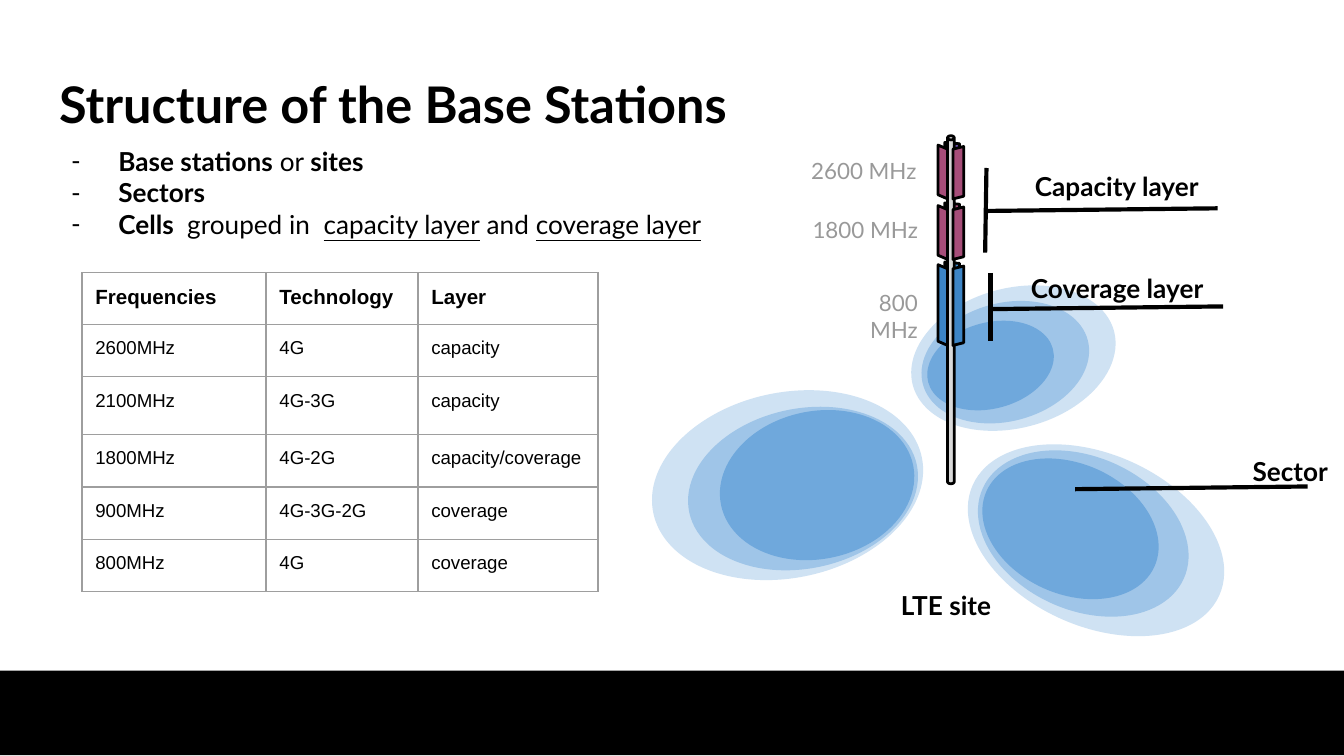
from lxml.etree import SubElement
from pptx import Presentation
from pptx.dml.color import RGBColor
from pptx.enum.shapes import MSO_CONNECTOR, MSO_SHAPE
from pptx.enum.text import MSO_ANCHOR, MSO_AUTO_SIZE, PP_ALIGN
from pptx.oxml.ns import qn
from pptx.util import Inches, Pt

COLORS = {
    "black": "000000", "border": "9E9E9E", "frequency": "999999", "mast": "D9D9D9",
    "outer": "CFE2F3", "middle": "9FC5E8", "inner": "6FA8DC",
    "capacity": "A64D79", "capacity back": "674EA7", "coverage": "3D85C6",
}

# Each sector: rotation, then left, top, width, height from outer to inner
SECTORS = {
    "north": (74.9, [(7.02, 1.89, 1.04, 1.55), (7.04, 2.06, 0.88, 1.27), (7.05, 2.24, 0.64, 0.96)]),
    "west": (348.3, [(4.84, 2.92, 2.04, 1.38), (5.11, 3.04, 1.73, 1.19), (5.35, 3.06, 1.46, 1.1)]),
    "east": (24.1, [(7.15, 3.38, 2.01, 1.28), (7.24, 3.4, 1.64, 1.14), (7.28, 3.45, 1.37, 0.97)]),
}

# Each antenna: top, height, front colour, back colour
ANTENNAS = [
    (1.51, 0.37, "capacity", "capacity"),
    (1.06, 0.37, "capacity", "capacity back"),
    (1.95, 0.57, "coverage", "coverage"),
]

# Each list item: runs of text, bold, underlined
LIST_ITEMS = [
    [("Base stations", True, False), (" or ", False, False), ("sites", True, False)],
    [("Sectors", True, False)],
    [("Cells", True, False), ("  grouped in  ", False, False), ("capacity layer", False, True),
     (" and ", False, False), ("coverage layer", False, True)],
]

TABLE_ROWS = [
    ("Frequencies", "Technology", "Layer"),
    ("2600MHz", "4G", "capacity"),
    ("2100MHz", "4G-3G", "capacity"),
    ("1800MHz", "4G-2G", "capacity/coverage"),
    ("900MHz", "4G-3G-2G", "coverage"),
    ("800MHz", "4G", "coverage"),
]
COLUMN_WIDTHS = [1.37, 1.13, 1.34]
ROW_HEIGHTS = [0.37, 0.39, 0.43, 0.39, 0.39, 0.39]

FREQUENCY_LABELS = [
    ("800 MHz", (6.14, 2.08, 0.76, 0.32)),
    ("1800 MHz", (5.81, 1.54, 1.09, 0.32)),
    ("2600 MHz", (5.96, 1.1, 0.93, 0.32)),
]
NAME_LABELS = [
    ("Coverage layer", (7.6, 1.95, 1.77, 0.38), PP_ALIGN.LEFT),
    ("Capacity layer", (7.63, 1.19, 1.73, 0.38), PP_ALIGN.LEFT),
    ("Sector", (9.25, 3.25, 0.84, 0.44), PP_ALIGN.LEFT),
    ("LTE site", (6.31, 4.31, 1.46, 0.38), PP_ALIGN.CENTER),
]
CALLOUT_LINES = [
    (7.37, 2.3, 9.1, 2.28), (7.37, 2.03, 7.37, 2.54),
    (7.33, 1.57, 9.06, 1.55), (7.34, 1.25, 7.33, 1.88),
    (8, 3.64, 9.73, 3.62),
]


def color(name):
    return RGBColor.from_string(COLORS[name])


def inches(values):
    return [Inches(value) for value in values]


def add_span(para, text, size, bold=False, underline=False, font="Lato", tint="black"):
    span = para.add_run()
    span.text = text
    span.font.name = font
    span.font.size = Pt(size)
    span.font.bold = bold
    span.font.underline = underline
    span.font.color.rgb = color(tint)


def set_margins(holder, size):
    holder.margin_left = holder.margin_right = Inches(size)
    holder.margin_top = holder.margin_bottom = Inches(size)


def style_shape(shape, fill, outlined=False):
    shape.shadow.inherit = False
    shape.fill.solid()
    shape.fill.fore_color.rgb = color(fill)
    if outlined:
        shape.line.color.rgb = color("black")
        shape.line.width = Pt(1.5)
    else:
        shape.line.fill.background()


def add_preset(page, kind, place, fill, outlined=False):
    shape = page.shapes.add_shape(kind, *inches(place))
    style_shape(shape, fill, outlined)
    return shape


def add_sector(page, name):
    rotation, ellipses = SECTORS[name]
    for place, fill in zip(ellipses, ("outer", "middle", "inner")):
        add_preset(page, MSO_SHAPE.OVAL, place, fill).rotation = rotation


def add_panel(page, left, left_top, right, right_top, height, fill):
    """Draw an upright panel with slanted top and bottom edges."""
    corners = [(right, right_top), (right, right_top + height), (left, left_top + height)]
    builder = page.shapes.build_freeform(Inches(left), Inches(left_top))
    builder.add_line_segments([inches(corner) for corner in corners], close=True)
    style_shape(builder.convert_to_shape(), fill, outlined=True)


def add_tower(page):
    for top, height, _, back in ANTENNAS:
        add_panel(page, 7.03, top, 7.14, top + 0.01, height, back)
    mast = add_preset(page, MSO_SHAPE.CAN, (7.05, 1.01, 0.05, 2.59), "mast", outlined=True)
    mast.adjustments[0] = 0.625
    for top, height, front, _ in ANTENNAS:
        add_panel(page, 7.09, top + 0.05, 7.17, top + 0.03, height, front)
        add_panel(page, 6.98, top + 0.02, 7.05, top + 0.05, height, front)


def add_line(page, ends):
    line = page.shapes.add_connector(MSO_CONNECTOR.STRAIGHT, *inches(ends))
    line.line.color.rgb = color("black")
    line.line.width = Pt(2.25)
    SubElement(line._element.spPr, qn("a:effectLst"))


def add_label(page, text, place, align, anchor, size, **style):
    box = page.shapes.add_textbox(*inches(place))
    frame = box.text_frame
    frame.word_wrap = True
    frame.vertical_anchor = anchor
    set_margins(frame, 0.07)
    para = frame.paragraphs[0]
    para.alignment = align
    add_span(para, text, size, **style)


def place_placeholder(holder, place, margin, anchor):
    holder.left, holder.top, holder.width, holder.height = inches(place)
    frame = holder.text_frame
    frame.word_wrap = True
    frame.auto_size = MSO_AUTO_SIZE.NONE
    frame.vertical_anchor = anchor
    set_margins(frame, margin)
    return frame


def fill_title(holder):
    frame = place_placeholder(holder, (0.44, 0.35, 9.11, 0.89), 0, MSO_ANCHOR.MIDDLE)
    para = frame.paragraphs[0]
    para.alignment = PP_ALIGN.LEFT
    para.line_spacing = 0.9
    add_span(para, "Structure of the Base Stations", 27, bold=True)


def fill_list(holder):
    frame = place_placeholder(holder, (0.28, 0.98, 5.51, 0.91), 0.1, MSO_ANCHOR.TOP)
    for index, item in enumerate(LIST_ITEMS):
        para = frame.add_paragraph() if index else frame.paragraphs[0]
        para.space_before = Pt(0)
        properties = para._p.get_or_add_pPr()
        properties.set("marL", str(Inches(0.5)))
        properties.set("indent", str(Inches(-0.35)))
        tint = SubElement(properties, qn("a:buClr"))
        SubElement(tint, qn("a:srgbClr"), val=COLORS["black"])
        SubElement(properties, qn("a:buFont"), typeface="Lato")
        SubElement(properties, qn("a:buChar"), char="-")
        for text, bold, underline in item:
            add_span(para, text, 14, bold, underline)


def set_borders(cell):
    properties = cell._tc.get_or_add_tcPr()
    for position, side in enumerate(("lnL", "lnR", "lnT", "lnB")):
        border = SubElement(properties, qn(f"a:{side}"), w=str(Pt(0.75)))
        properties.insert(position, border)
        fill = SubElement(border, qn("a:solidFill"))
        SubElement(fill, qn("a:srgbClr"), val=COLORS["border"])


def add_frequency_table(page):
    place = (0.61, 2.03, sum(COLUMN_WIDTHS), sum(ROW_HEIGHTS))
    table = page.shapes.add_table(len(TABLE_ROWS), len(COLUMN_WIDTHS), *inches(place)).table
    table.first_row = table.horz_banding = False
    for column, width in zip(table.columns, COLUMN_WIDTHS):
        column.width = Inches(width)
    for index, (row, height) in enumerate(zip(table.rows, ROW_HEIGHTS)):
        row.height = Inches(height)
        header = index == 0
        for cell, text in zip(row.cells, TABLE_ROWS[index]):
            set_margins(cell, 0.1)
            cell.fill.background()
            set_borders(cell)
            add_span(cell.text_frame.paragraphs[0], text, 11 if header else 10, header, font="Arial")


def main():
    deck = Presentation()
    deck.slide_width = Inches(10)
    deck.slide_height = deck.slide_width * 9 // 16
    page = deck.slides.add_slide(deck.slide_layouts[1])

    # Footer band, heading and list
    add_preset(page, MSO_SHAPE.RECTANGLE, (0, 4.99, 10, 0.63), "black")
    fill_title(page.shapes.title)
    fill_list(page.placeholders[1])

    # Tower between its three sectors
    add_sector(page, "north")
    add_tower(page)
    add_sector(page, "west")
    add_sector(page, "east")

    # Labels and callouts
    for text, place in FREQUENCY_LABELS:
        add_label(page, text, place, PP_ALIGN.RIGHT, MSO_ANCHOR.TOP, 12, tint="frequency")
    for ends in CALLOUT_LINES:
        add_line(page, ends)
    for text, place, align in NAME_LABELS:
        add_label(page, text, place, align, MSO_ANCHOR.BOTTOM, 14, bold=True)

    add_frequency_table(page)
    deck.save("out.pptx")


if __name__ == "__main__":
    main()
